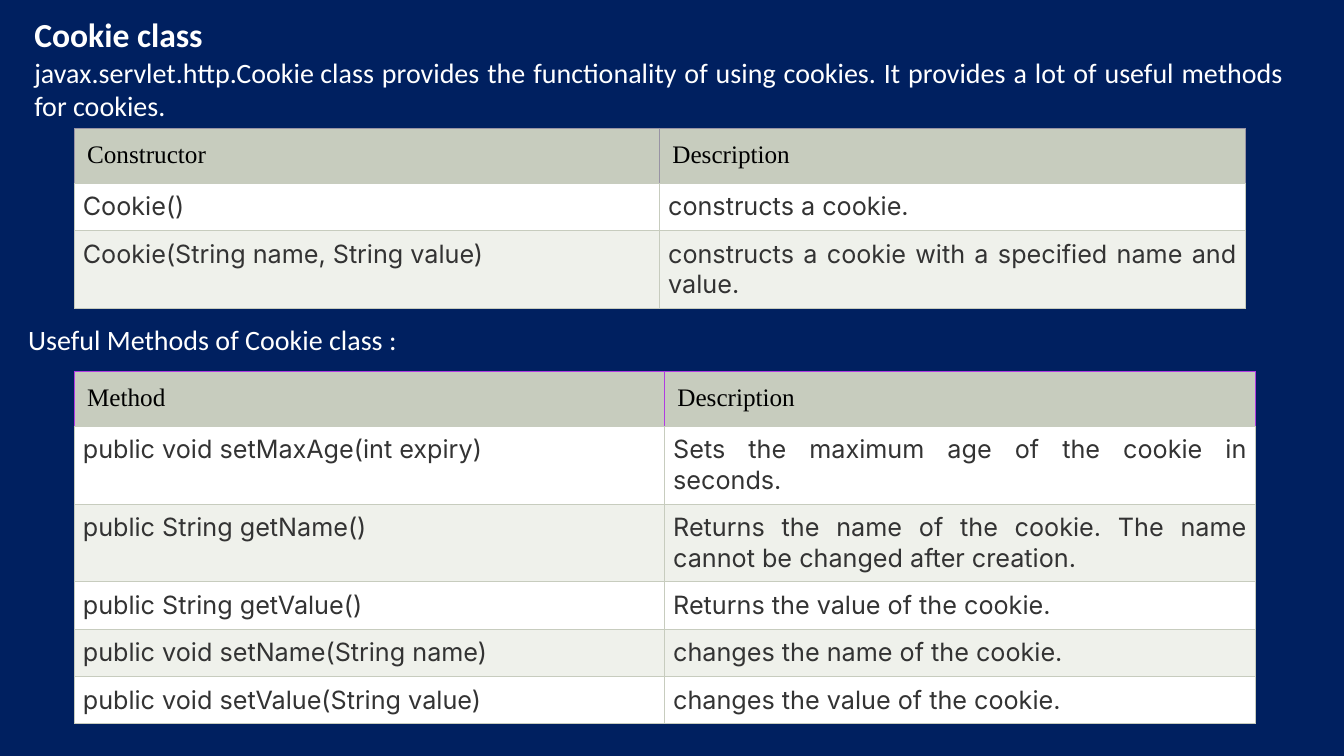
from dataclasses import dataclass

from lxml.etree import SubElement
from pptx import Presentation
from pptx.dml.color import RGBColor
from pptx.enum.text import MSO_ANCHOR, MSO_AUTO_SIZE, PP_ALIGN
from pptx.oxml.ns import qn
from pptx.util import Pt


@dataclass(frozen=True)
class Theme:
    """Colours, fonts and type sizes of the slide."""
    navy: str = "002060"
    white: str = "FFFFFF"
    sage: str = "C7CCBE"
    pale: str = "EFF1EB"
    black: str = "000000"
    ink: str = "333333"
    grey: str = "9893A4"
    violet: str = "B03BE2"
    text_font: str = "Calibri"
    head_font: str = "Times New Roman"
    cell_font: str = "Inter"
    title_size: float = 24
    text_size: float = 20
    cell_size: float = 18


T = Theme()
HEAD_ROW, LINE, CELL_PAD, HEAD_PAD = 39.2, 21.8, 6, 9
BORDER = 0.75

CONSTRUCTORS = [
    ("Constructor", "Description"),
    ("Cookie()", "constructs a cookie."),
    ("Cookie(String name, String value)",
     "constructs a cookie with a specified name and value."),
]
METHODS = [
    ("Method", "Description"),
    ("public void setMaxAge(int expiry)",
     "Sets the maximum age of the cookie in seconds."),
    ("public String getName()",
     "Returns the name of the cookie. The name cannot be changed after creation."),
    ("public String getValue()", "Returns the value of the cookie."),
    ("public void setName(String name)", "changes the name of the cookie."),
    ("public void setValue(String value)", "changes the value of the cookie."),
]


def set_text(tf, text, size=T.text_size, font=T.text_font, color=T.white,
             bold=False, align=PP_ALIGN.JUSTIFY):
    """Write one formatted paragraph into a text frame."""
    p = tf.paragraphs[0]
    p.alignment = align
    p.space_before = p.space_after = Pt(0)
    r = p.add_run()
    r.text = text
    r.font.size, r.font.name, r.font.bold = Pt(size), font, bold
    r.font.color.rgb = RGBColor.from_string(color)


def place(sp, left, top, width, height, inset_top=3.6, wrap=True):
    """Put a text shape in its box, anchored at the top."""
    sp.left, sp.top, sp.width, sp.height = map(Pt, (left, top, width, height))
    tf = sp.text_frame
    tf.word_wrap, tf.auto_size = wrap, MSO_AUTO_SIZE.NONE
    tf.vertical_anchor = MSO_ANCHOR.TOP
    tf.margin_left = tf.margin_right = Pt(7.2)
    tf.margin_top, tf.margin_bottom = Pt(inset_top), Pt(0)
    return tf


def add_intro(s, left, top, width, height):
    """Fill the title and, directly below it, the introduction."""
    title_height = 32.9
    tf = place(s.shapes.title, left, top, width, title_height)
    set_text(tf, "Cookie class", size=T.title_size, bold=True)
    tf = place(s.placeholders[1], left, top + title_height, width,
               height - title_height, inset_top=0)
    set_text(tf, "javax.servlet.http.Cookie\u00a0class provides the functionality "
                 "of using cookies. It provides a lot of useful methods for cookies.")
    pPr = tf.paragraphs[0]._p.get_or_add_pPr()
    pPr.set("marL", "0")
    pPr.set("indent", "0")
    SubElement(pPr, qn("a:buNone"))


def add_subheading(s, left, top, width, height):
    """Add the line that introduces the methods table."""
    sp = s.shapes.add_textbox(0, 0, 0, 0)
    set_text(place(sp, left, top, width, height, wrap=False),
             "Useful Methods of Cookie class :")


def set_borders(cell, side_color, bottom_color):
    """Draw the four borders of a cell."""
    tcPr = cell._tc.get_or_add_tcPr()
    for i, edge in enumerate("LRTB"):
        ln = SubElement(tcPr, qn(f"a:ln{edge}"), w=str(Pt(BORDER)))
        fill = SubElement(ln, qn("a:solidFill"))
        SubElement(fill, qn("a:srgbClr"),
                   val=bottom_color if edge == "B" else side_color)
        tcPr.insert(i, ln)


def add_grid(s, left, top, width, rows, line_counts, head_border):
    """Add a two-column table whose body rows fit their line counts."""
    heights = [HEAD_ROW] + [n * LINE + 2 * CELL_PAD for n in line_counts]
    table = s.shapes.add_table(len(rows), 2, Pt(left), Pt(top), Pt(width),
                               Pt(sum(heights))).table
    table.first_row = table.horz_banding = False
    for col in table.columns:
        col.width = Pt(width / 2)
    for i, (texts, height) in enumerate(zip(rows, heights)):
        table.rows[i].height = Pt(height)
        head = i == 0
        pad = HEAD_PAD if head else CELL_PAD
        fill = T.sage if head else (T.pale, T.white)[i % 2]
        for cell, text in zip(table.rows[i].cells, texts):
            cell.margin_left = cell.margin_right = Pt(pad)
            cell.margin_top = cell.margin_bottom = Pt(pad)
            cell.fill.solid()
            cell.fill.fore_color.rgb = RGBColor.from_string(fill)
            set_borders(cell, head_border if head else T.sage, T.sage)
            set_text(cell.text_frame, text, size=T.cell_size,
                     font=T.head_font if head else T.cell_font,
                     color=T.black if head else T.ink,
                     align=PP_ALIGN.LEFT if head else PP_ALIGN.JUSTIFY)


def build_cookie_slide(prs):
    """Build the slide about the Cookie class."""
    s = prs.slides.add_slide(prs.slide_layouts[1])
    s.background.fill.solid()
    s.background.fill.fore_color.rgb = RGBColor.from_string(T.navy)
    add_intro(s, 17.3, 6.5, 907, 85)
    add_grid(s, 53.2, 91.6, 836.2, CONSTRUCTORS, (1, 2), T.grey)
    add_subheading(s, 13, 226.8, 281, 31.5)
    add_grid(s, 53.2, 265.3, 843.4, METHODS, (2, 2, 1, 1, 1), T.violet)


prs = Presentation()
prs.slide_width, prs.slide_height = Pt(960), Pt(540)
build_cookie_slide(prs)
prs.save("out.pptx")
